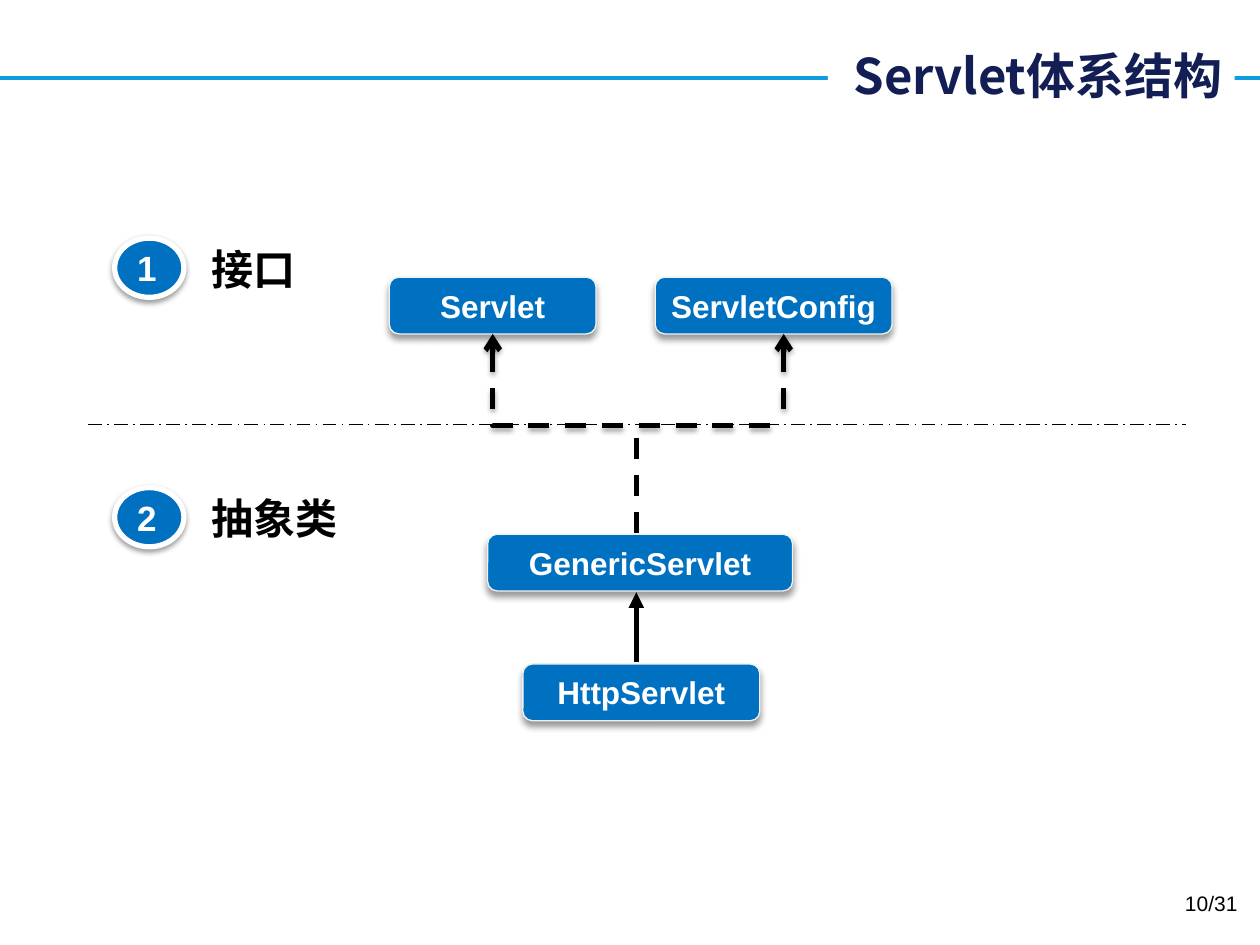
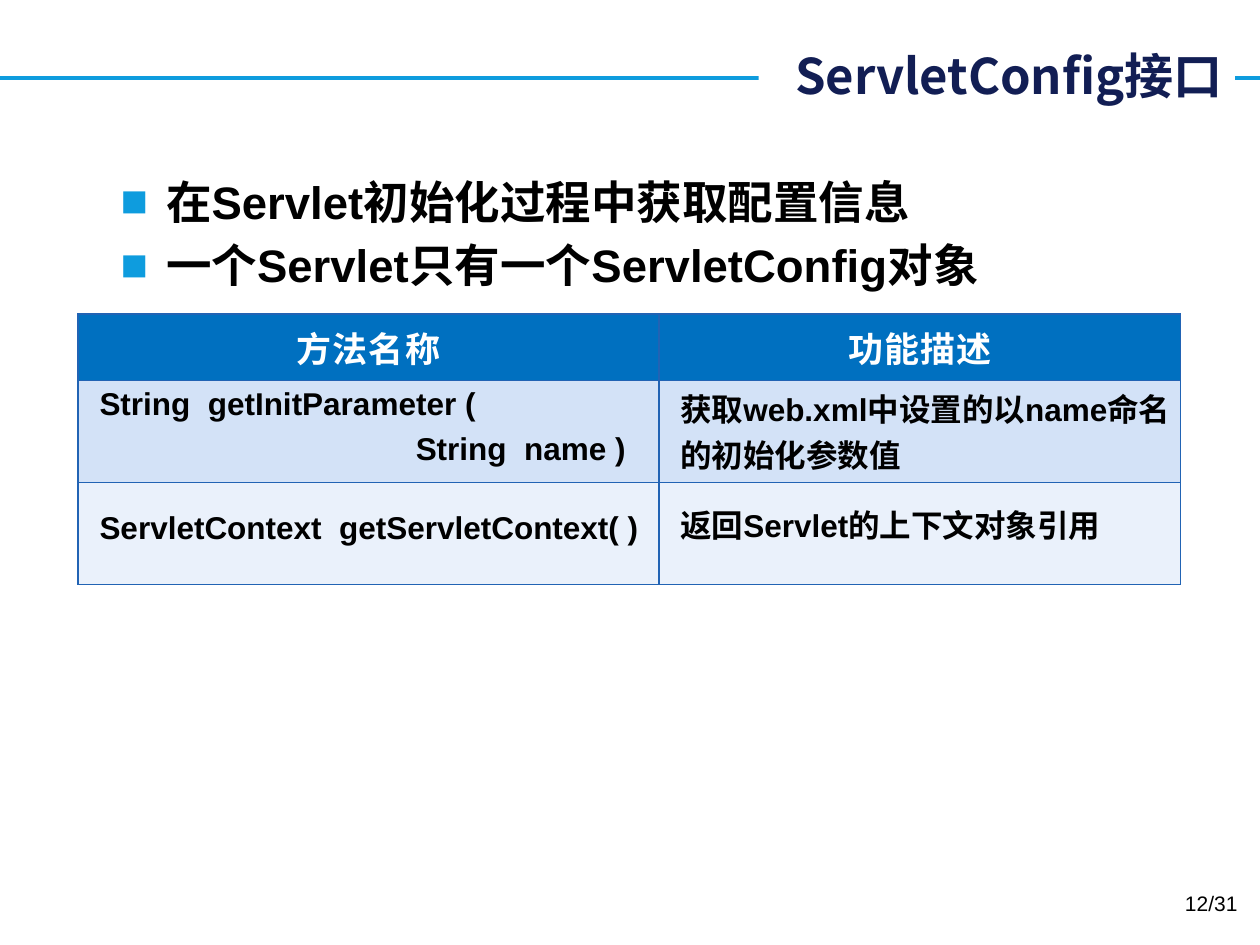
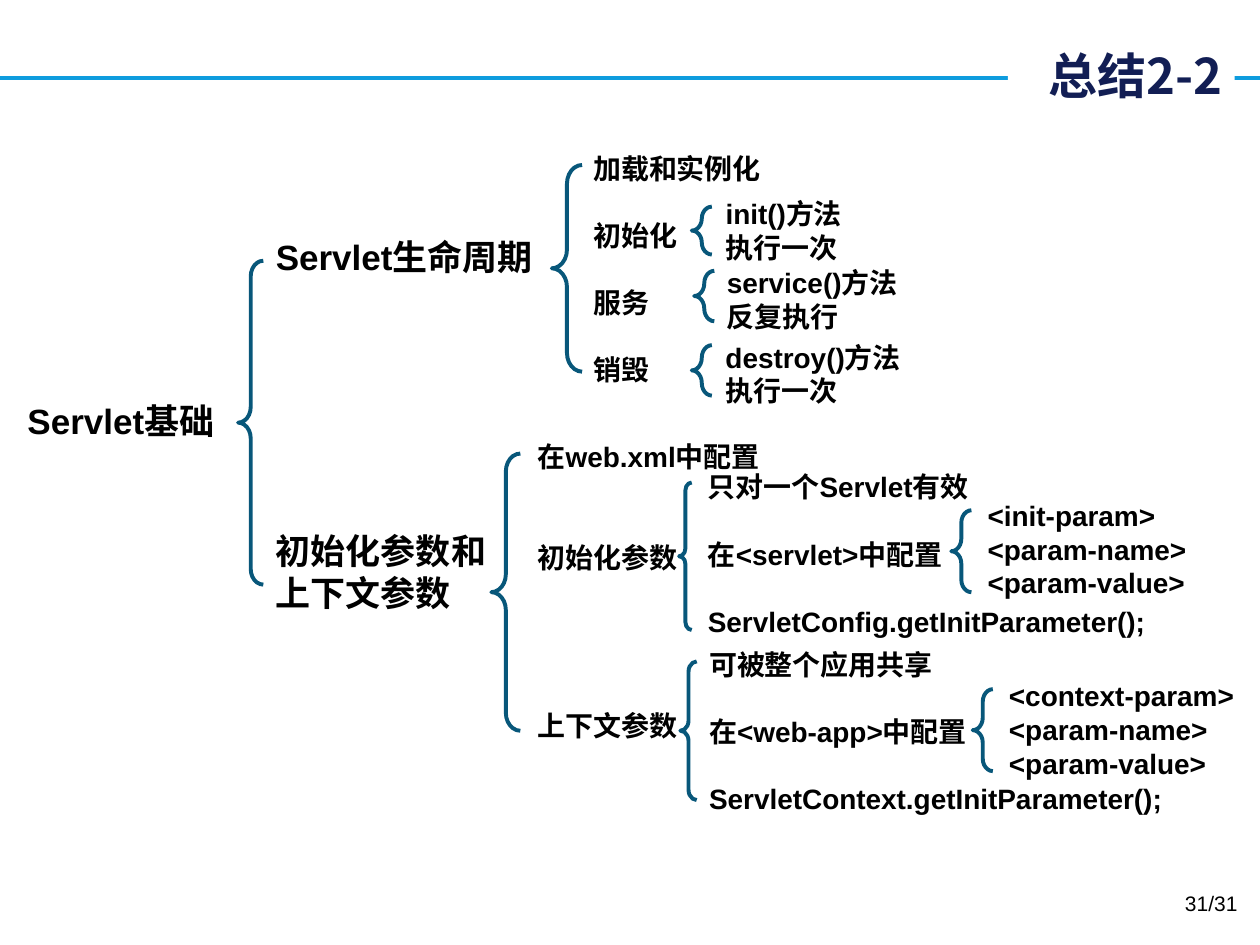
from lxml import etree
from pptx import Presentation
from pptx.dml.color import RGBColor
from pptx.enum.dml import MSO_LINE
from pptx.enum.shapes import MSO_CONNECTOR, MSO_SHAPE
from pptx.enum.text import MSO_ANCHOR, PP_ALIGN
from pptx.oxml.ns import qn
from pptx.util import Inches, Pt

LEFT, MID, RIGHT = PP_ALIGN.LEFT, PP_ALIGN.CENTER, PP_ALIGN.RIGHT
TOP, CENTER = MSO_ANCHOR.TOP, MSO_ANCHOR.MIDDLE
RECT, ROUND, OVAL, BRACE = (MSO_SHAPE.RECTANGLE, MSO_SHAPE.ROUNDED_RECTANGLE,
                            MSO_SHAPE.OVAL, MSO_SHAPE.LEFT_BRACE)
DASH, LONG = MSO_LINE.DASH, MSO_LINE.LONG_DASH_DOT
STRAIGHT, ELBOW = MSO_CONNECTOR.STRAIGHT, MSO_CONNECTOR.ELBOW

INK = {"sky": "0E9CDE", "navy": "121E54", "blue": "0070C0", "pale": "F2F2F2",
       "white": "FFFFFF", "black": "000000", "teal": "08577A",
       "grid": "2163B4", "odd": "D3E2F7", "even": "EAF1FB"}
SANS, HAN = "Arial", "Noto Sans CJK SC"
LEAD = 1.2

TITLES = [("Servlet体系结构", 6.57, "10/31"),
          ("ServletConfig接口", 6.02, "12/31"),
          ("总结2-2", 8, "31/31")]

LEVELS = [("1", "接口", 1.88), ("2", "抽象类", 3.86)]
CLASSES = [("Servlet", 3.09, 2.2, 1.64), ("ServletConfig", 5.2, 2.2, 1.88),
           ("GenericServlet", 3.87, 4.24, 2.42), ("HttpServlet", 4.15, 5.27, 1.88)]
BOX_FX, OVAL_FX, LINE_FX = (40, 4, 3), (38, 3.1, 1.6), (35, 3.1, 1.8)

POINTS = ["在Servlet初始化过程中获取配置信息",
          "一个Servlet只有一个ServletConfig对象"]
HEADS = ["方法名称", "功能描述"]
COLS, ROWS = [4.61, 4.14], [0.53, 0.81, 0.81]
METHODS = [
    [[("String  getInitParameter (", 0.1), ("String  name )", 2.61)],
     [("获取web.xml中设置的以name命名的初始化参数值", 0.1)]],
    [[("ServletContext  getServletContext( )", 0.1)],
     [("返回Servlet的上下文对象引用", 0.1)]],
]

# LABELS_PLACEHOLDER
LABELS = [
    (0.12, 3.12, 1.8, 20, [(0, "Servlet基础")]),
    (2.09, 1.82, 2.41, 20, [(0, "Servlet生命周期"), (6, "初始化参数和"), (0, "上下文参数")]),
    (4.61, 1.15, 1.65, 16, [(0, "加载和实例化"), (1, "初始化"), (1, "服务"), (1, "销毁")]),
    (4.17, 3.44, 3, 16, [(0, "在web.xml中配置"), (2, "初始化参数"), (4, "上下文参数")]),
    (5.52, 3.68, 3.7, 16, [(0, "只对一个Servlet有效"), (1, "在<servlet>中配置"),
                           (1, "ServletConfig.getInitParameter();")]),
    (5.53, 5.09, 3.94, 16, [(0, "可被整个应用共享"), (1, "在<web-app>中配置"),
                            (1, "ServletContext.getInitParameter();")]),
    (5.66, 1.51, 1.98, 16, [(0, "init()方法"), (0, "执行一次")]),
    (5.67, 2.06, 1.96, 16, [(0, "service()方法"), (0, "反复执行")]),
    (5.66, 2.65, 1.96, 16, [(0, "destroy()方法"), (0, "执行一次")]),
    (7.74, 3.91, 1.98, 16, [(0, "<init-param>"), (0, "<param-name>"), (0, "<param-value>")]),
    (7.91, 5.34, 2.06, 16, [(0, "<context-param>"), (0, "<param-name>"), (0, "<param-value>")]),
]
BRACES = [(1.89, 2.07, 0.2, 2.57), (4.38, 1.31, 0.24, 1.64), (3.9, 3.6, 0.23, 2.2),
          (7.55, 4.05, 0.16, 0.65), (5.39, 3.83, 0.1, 1.17), (5.49, 1.64, 0.16, 0.38),
          (5.51, 2.15, 0.16, 0.4), (5.49, 2.74, 0.16, 0.4), (5.4, 5.25, 0.13, 1.1),
          (7.72, 5.47, 0.16, 0.65)]


def color(name):
    return RGBColor.from_string(INK[name])


def sub(node, tag, **attrs):
    return etree.SubElement(node, qn("a:" + tag), attrs)


def write(para, text, size, ink="black", bold=True, face=SANS):
    run = para.add_run()
    run.text = text
    font = run.font
    font.size, font.bold, font.name = Pt(size), bold, face
    font.color.rgb = color(ink)
    sub(run._r.get_or_add_rPr(), "ea", typeface=HAN)
    return run


def frame(shape, anchor=TOP, wrap=True):
    body = shape.text_frame
    body.word_wrap, body.vertical_anchor = wrap, anchor
    return body


def text_box(slide, *place):
    return frame(slide.shapes.add_textbox(*map(Inches, place)))


def glow(shape, fx=None):
    old = shape._element.spPr.find(qn("a:effectLst"))
    if old is not None:
        shape._element.spPr.remove(old)
    effect = sub(shape._element.spPr, "effectLst")
    if fx:
        alpha, blur, dist = fx
        outer = sub(effect, "outerShdw", blurRad=str(Pt(blur)), dist=str(Pt(dist)),
                    dir="5400000", rotWithShape="0")
        sub(sub(outer, "srgbClr", val=INK["black"]), "alpha", val=str(alpha * 1000))


def shape(slide, kind, place, fill=None, edge=None, width=1, fx=None):
    item = slide.shapes.add_shape(kind, *map(Inches, place))
    if fill:
        item.fill.solid()
        item.fill.fore_color.rgb = color(fill)
    else:
        item.fill.background()
    if edge:
        item.line.color.rgb = color(edge)
        item.line.width = Pt(width)
    else:
        item.line.fill.background()
    glow(item, fx)
    return item


def link(slide, ends, width, ink="black", dash=None, head=None, tail=None,
         fx=None, kind=STRAIGHT):
    item = slide.shapes.add_connector(kind, *map(Inches, ends))
    item.line.color.rgb = color(ink)
    item.line.width = Pt(width)
    if dash:
        item.line.dash_style = dash
    for tag, tip in (("headEnd", head), ("tailEnd", tail)):
        if tip:
            sub(item.line._get_or_add_ln(), tag, type=tip)
    glow(item, fx)
    return item


def start(deck, title, left, number):
    slide = deck.slides.add_slide(deck.slide_layouts[6])
    link(slide, (0, 0.62, 10, 0.62), 2.25, "sky")
    body = frame(shape(slide, RECT, (left, 0.31, 9.8 - left, 0.57), "white"), CENTER)
    body.margin_left = body.margin_top = body.margin_bottom = 0
    body.paragraphs[0].alignment = RIGHT
    write(body.paragraphs[0], title, 28, "navy", face=HAN)
    para = text_box(slide, 7.59, 7.02, 2.33, 0.4).paragraphs[0]
    para.alignment = RIGHT
    write(para, number, 12, bold=False)
    return slide


def lines(body, size, items):
    for i, (skip, text) in enumerate(items):
        para = body.add_paragraph() if i else body.paragraphs[0]
        para.line_spacing = Pt(LEAD * size)
        if skip:
            para.space_before = Pt(skip * LEAD * size)
        write(para, text, size)


def classes(slide):
    link(slide, (0.7, 3.37, 9.41, 3.37), 1, dash=LONG)
    for mark, name, top in LEVELS:
        lines(text_box(slide, 1.58, top, 2.36, 0.5), 24, [(0, name)])
        disc = shape(slide, OVAL, (0.91, top + 0.01, 0.55, 0.47), "blue", "white", 3, OVAL_FX)
        para = frame(disc, CENTER).paragraphs[0]
        para.alignment = LEFT
        write(para, mark, 20, "white")
    for name, left, top, wide in CLASSES:
        box = shape(slide, ROUND, (left, top, wide, 0.45), "blue", "pale", 0.75, BOX_FX)
        para = frame(box, CENTER, False).paragraphs[0]
        para.alignment = MID
        write(para, name, 18, "white")
    link(slide, (5.05, 5.25, 5.05, 4.7), 3, tail="triangle")
    bend = link(slide, (5.43, 1.86, 4.7, 4.17), 3, dash=DASH, head="arrow",
                fx=LINE_FX, kind=ELBOW)
    form = bend._element.spPr
    form.find(qn("a:xfrm")).set("rot", "16200000")
    form.find(qn("a:prstGeom")).set("prst", "bentConnector2")
    link(slide, (6.22, 2.65, 6.22, 3.37), 3, dash=DASH, head="arrow", fx=LINE_FX)
    link(slide, (5.05, 4.23, 5.05, 3.37), 3, dash=DASH)


def cell_style(cell, fill, sides):
    cell.fill.solid()
    cell.fill.fore_color.rgb = color(fill)
    cell.vertical_anchor = CENTER
    (cell.margin_left, cell.margin_top,
     cell.margin_right, cell.margin_bottom) = map(Inches, sides)
    props = cell._tc.get_or_add_tcPr()
    for i, tag in enumerate(("lnL", "lnR", "lnT", "lnB")):
        edge = sub(props, tag, w=str(Pt(1)))
        sub(sub(edge, "solidFill"), "srgbClr", val=INK["grid"])
        props.insert(i, edge)


def config(slide):
    body = text_box(slide, 0.86, 1.33, 8.36, 1.1)
    for i, text in enumerate(POINTS):
        para = body.add_paragraph() if i else body.paragraphs[0]
        para.line_spacing = Pt(LEAD * 26)
        if i:
            para.space_before = Pt(5.2)
        props = para._p.get_or_add_pPr()
        props.set("marL", str(Inches(0.36)))
        props.set("indent", str(-Inches(0.36)))
        sub(sub(props, "buClr"), "srgbClr", val=INK["sky"])
        sub(props, "buFont", typeface=SANS)
        sub(props, "buChar", char="■")
        write(para, text, 26)

    place = map(Inches, (0.62, 2.49, sum(COLS), sum(ROWS)))
    table = slide.shapes.add_table(len(ROWS), len(COLS), *place).table
    for col, wide in zip(table.columns, COLS):
        col.width = Inches(wide)
    for row, high in zip(table.rows, ROWS):
        row.height = Inches(high)
    for c, text in enumerate(HEADS):
        cell = table.cell(0, c)
        cell_style(cell, "blue", (0.09, 0.05, 0.09, 0.05))
        para = cell.text_frame.paragraphs[0]
        para.alignment = MID
        run = write(para, text, 20, "white", face=HAN)
        run._r.get_or_add_rPr().set("spc", "60")
    for r, row in enumerate(METHODS, 1):
        for c, items in enumerate(row):
            cell = table.cell(r, c)
            cell_style(cell, "odd" if r % 2 else "even", (0.07, 0, 0.07, 0.01))
            for i, (text, left) in enumerate(items):
                body = cell.text_frame
                para = body.add_paragraph() if i else body.paragraphs[0]
                if (r, c) != (1, 1):
                    para.line_spacing = Pt(15.6)
                if i:
                    para.space_before = Pt(5)
                para.space_after = Pt(5)
                para._p.get_or_add_pPr().set("marL", str(Inches(left)))
                write(para, text, 18)


def summary(slide):
    for place in BRACES:
        brace = shape(slide, BRACE, place, edge="teal", width=2.25)
        brace.adjustments[0], brace.adjustments[1] = 0.62, 0.5
    for left, top, wide, size, items in LABELS:
        count = sum(skip + 1 for skip, text in items)
        high = 0.1 + count * LEAD * size / 72
        lines(text_box(slide, left, top, wide, high), size, items)


def main():
    deck = Presentation()
    deck.slide_width, deck.slide_height = Inches(10), Inches(7.5)
    for head, draw in zip(TITLES, (classes, config, summary)):
        draw(start(deck, *head))
    deck.save("out.pptx")


if __name__ == "__main__":
    main()
